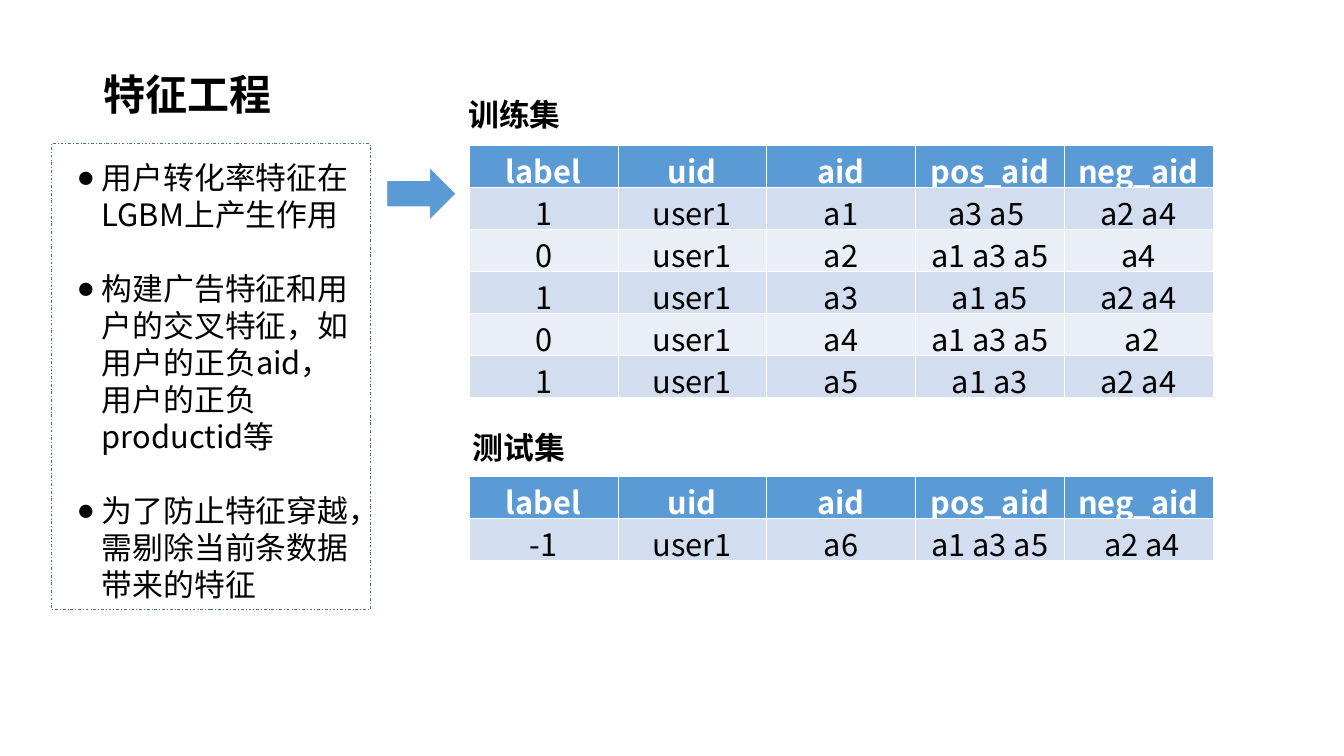
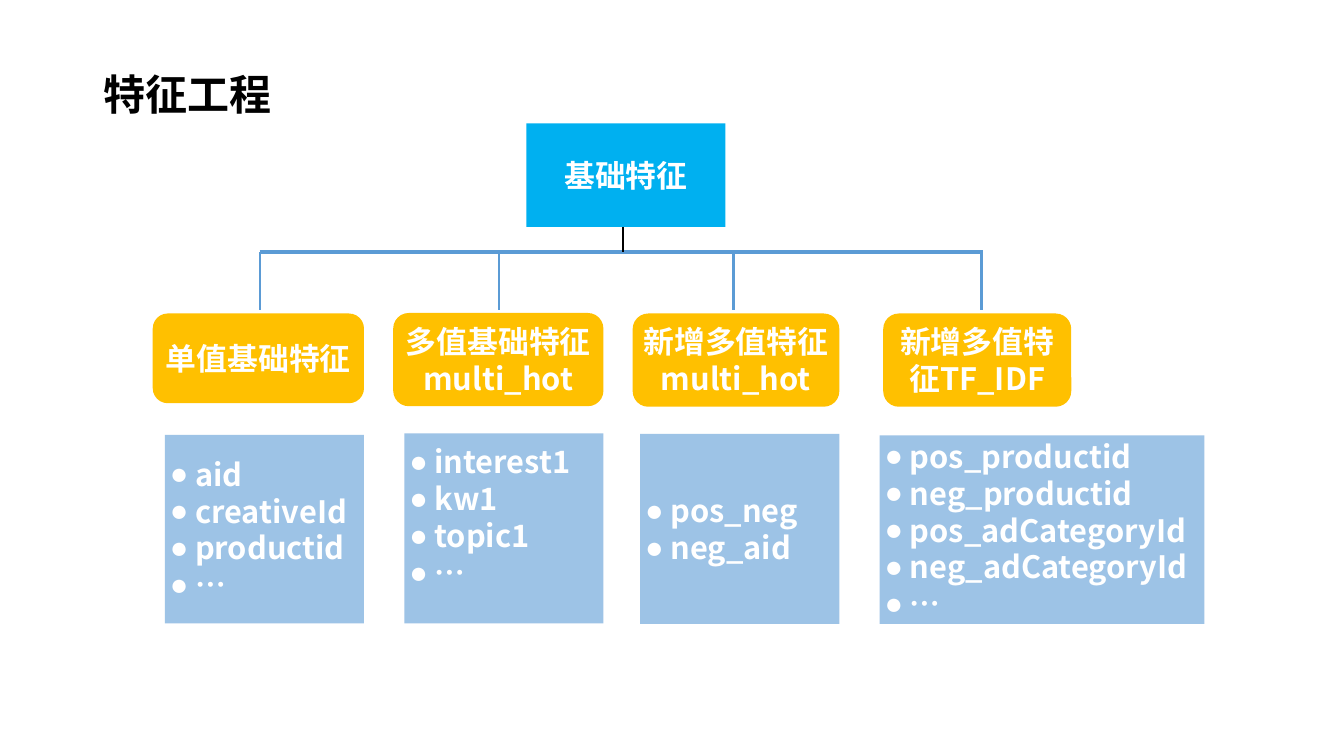
from lxml import etree
from pptx import Presentation
from pptx.dml.color import RGBColor
from pptx.enum import dml, shapes, text
from pptx.oxml.ns import qn
from pptx.util import Pt

FACE = "Noto Sans CJK SC"
BLACK, WHITE = "000000", "FFFFFF"
BLUE, PALE_BLUE, SKY, AMBER = "5B9BD5", "9DC3E6", "00B0F0", "FFC000"
FRAME_BLUE = "43739E"
BANDS = ("D2DEEF", "EAEFF7")
TEXT_SIZE, TITLE_SIZE, LINE_HEIGHT = 44, 60, 52.8
TITLE_BOX = (141.12, 94.32, 320.4, 79.92)
HEADER = ("label", "uid", "aid", "pos_aid", "neg_aid")
ROW_HEIGHT = 60

TRAINING = [
    ("1", "user1", "a1", "a3 a5 ", "a2 a4"),
    ("0", "user1", "a2", "a1 a3 a5", "a4"),
    ("1", "user1", "a3", "a1 a5", "a2 a4"),
    ("0", "user1", "a4", "a1 a3 a5", " a2"),
    ("1", "user1", "a5", "a1 a3", "a2 a4"),
]
TESTING = [("-1", "user1", "a6", "a1 a3 a5", " a2 a4")]
POINTS = [
    "用户转化率特征在LGBM上产生作用",
    "构建广告特征和用户的交叉特征，如用户的正负aid，用户的正负productid等",
    "为了防止特征穿越，需剔除当前条数据带来的特征",
]
BRANCHES = [
    (370.8, (218.16, 447.84, 301.68, 128.16), ["单值基础特征"],
     (235.44, 621.36, 284.4, 269.28), ["aid", "creativeId", "productid", "…"], 0),
    (712.8, (561.6, 447.12, 300.24, 133.2), ["多值基础特征", "multi_hot"],
     (577.44, 619.2, 284.4, 271.44), ["interest1", "kw1", "topic1", "…"], 32.4),
    (1047.6, (903.6, 447.84, 295.2, 133.2), ["新增多值特征multi_hot"],
     (914.4, 619.92, 284.4, 271.44), ["pos_neg", "neg_aid"], 0),
    (1401.84, (1261.44, 447.84, 268.56, 133.2), ["新增多值特征TF_IDF"],
     (1256.4, 622.08, 463.68, 269.28),
     ["pos_productid", "neg_productid", "pos_adCategoryId", "neg_adCategoryId", "…"], 0),
]


def color(hex_string):
    return RGBColor.from_string(hex_string)


def points(box):
    return [Pt(length) for length in box]


def move(part, box):
    part.left, part.top, part.width, part.height = points(box)


def add_bullet(paragraph):
    properties = paragraph._p.get_or_add_pPr()
    properties.set("marL", str(Pt(36)))
    properties.set("indent", str(-Pt(36)))
    etree.SubElement(properties, qn("a:buFont"), typeface="Arial")
    etree.SubElement(properties, qn("a:buChar"), char="●")


def write(frame, lines, ink=BLACK, size=TEXT_SIZE, bold=True, centered=False,
          bullets=False, gap=0):
    for index, line in enumerate(lines):
        paragraph = frame.paragraphs[0] if index == 0 else frame.add_paragraph()
        paragraph.text = line
        if bullets:
            add_bullet(paragraph)
        paragraph.alignment = text.PP_ALIGN.CENTER if centered else text.PP_ALIGN.LEFT
        paragraph.line_spacing = 1.0
        paragraph.space_before = Pt(gap if index else 0)
        font = paragraph.font
        font.size, font.bold, font.name = Pt(size), bold, FACE
        font.color.rgb = color(ink)
        etree.SubElement(font._element, qn("a:ea"), typeface=FACE)


def fill_placeholder(placeholder, box, lines, **style):
    move(placeholder, box)
    frame = placeholder.text_frame
    frame.word_wrap = True
    frame.auto_size = text.MSO_AUTO_SIZE.NONE
    frame.vertical_anchor = text.MSO_ANCHOR.TOP
    write(frame, lines, **style)


def add_slide(deck, layout):
    slide = deck.slides.add_slide(deck.slide_layouts[layout])
    fill_placeholder(slide.shapes.title, TITLE_BOX, ["特征工程"], size=TITLE_SIZE)
    return slide


def add_block(slide, kind, box, fill=None):
    block = slide.shapes.add_shape(kind, *points(box))
    block.shadow.inherit = False
    if fill:
        block.fill.solid()
        block.fill.fore_color.rgb = color(fill)
    else:
        block.fill.background()
    block.line.fill.background()
    return block


def outline(part, ink, width):
    part.line.color.rgb = color(ink)
    part.line.width = Pt(width)


def add_text_block(slide, kind, box, fill, lines, **style):
    block = add_block(slide, kind, box, fill)
    frame = block.text_frame
    frame.word_wrap = True
    frame.vertical_anchor = text.MSO_ANCHOR.MIDDLE
    write(frame, lines, ink=WHITE, **style)
    return frame


def add_line(slide, start, end, ink=BLUE, width=3):
    line = slide.shapes.add_connector(shapes.MSO_CONNECTOR.STRAIGHT, *points(start + end))
    outline(line, ink, width)
    etree.SubElement(line._element.spPr, qn("a:effectLst"))


def add_dataset(slide, caption, caption_box, records, left, top, width):
    label = slide.shapes.add_textbox(*points(caption_box))
    label.text_frame.word_wrap = True
    write(label.text_frame, [caption])
    rows = [HEADER, *records]
    table = slide.shapes.add_table(
        len(rows), len(HEADER), *points((left, top, width, ROW_HEIGHT * len(rows)))).table
    for row_index, row in enumerate(rows):
        is_header = row_index == 0
        fill = BLUE if is_header else BANDS[(row_index - 1) % 2]
        for column_index, value in enumerate(row):
            cell = table.cell(row_index, column_index)
            cell.fill.solid()
            cell.fill.fore_color.rgb = color(fill)
            write(cell.text_frame, [value], ink=WHITE if is_header else BLACK,
                  bold=is_header, centered=True)


def add_points_panel(slide, box):
    left, top, width, height = box
    frame = add_block(slide, shapes.MSO_SHAPE.RECTANGLE, box)
    outline(frame, FRAME_BLUE, 1)
    frame.line.dash_style = dml.MSO_LINE.DASH_DOT
    fill_placeholder(slide.placeholders[1], (left + 28.8, top + 18, width - 43.2, height - 18),
                     POINTS, bold=False, bullets=True, gap=LINE_HEIGHT)


def add_branch(slide, bus_top, stem, heading_box, heading, list_box, features, lift):
    add_line(slide, (stem, bus_top), (stem, bus_top + 82.8))
    add_text_block(slide, shapes.MSO_SHAPE.ROUNDED_RECTANGLE, heading_box, AMBER, heading,
                   centered=True)
    feature_frame = add_text_block(slide, shapes.MSO_SHAPE.RECTANGLE, list_box, PALE_BLUE,
                                   features, bullets=True)
    feature_frame.margin_bottom = Pt(3.6 + lift)


def build_dataset_slide(deck):
    slide = add_slide(deck, 1)
    add_points_panel(slide, (73.44, 205.2, 455.04, 665.28))
    arrow = add_block(slide, shapes.MSO_SHAPE.RIGHT_ARROW, (553.68, 241.92, 95.76, 69.84), BLUE)
    outline(arrow, BLUE, 1)
    add_dataset(slide, "训练集", (661.68, 133.92, 171.36, 60.48), TRAINING, 670.32, 207.36, 1062)
    add_dataset(slide, "测试集", (668.16, 609.12, 169.2, 60.48), TESTING, 670.32, 680.4, 1062)


def build_feature_slide(deck):
    slide = add_slide(deck, 5)
    bus_top, root_stem = 360, 889.2
    add_text_block(slide, shapes.MSO_SHAPE.RECTANGLE, (751.68, 176.4, 284.4, 147.6), SKY,
                   ["基础特征"], centered=True)
    add_line(slide, (BRANCHES[0][0], bus_top), (BRANCHES[-1][0] + 1.44, bus_top), width=4.5)
    for branch in BRANCHES:
        add_branch(slide, bus_top, *branch)
    add_line(slide, (root_stem, 324), (root_stem, bus_top), ink=BLACK)


def main():
    deck = Presentation()
    deck.slide_width, deck.slide_height = Pt(1919.52), Pt(1080)
    build_dataset_slide(deck)
    build_feature_slide(deck)
    deck.save("out.pptx")


if __name__ == "__main__":
    main()
